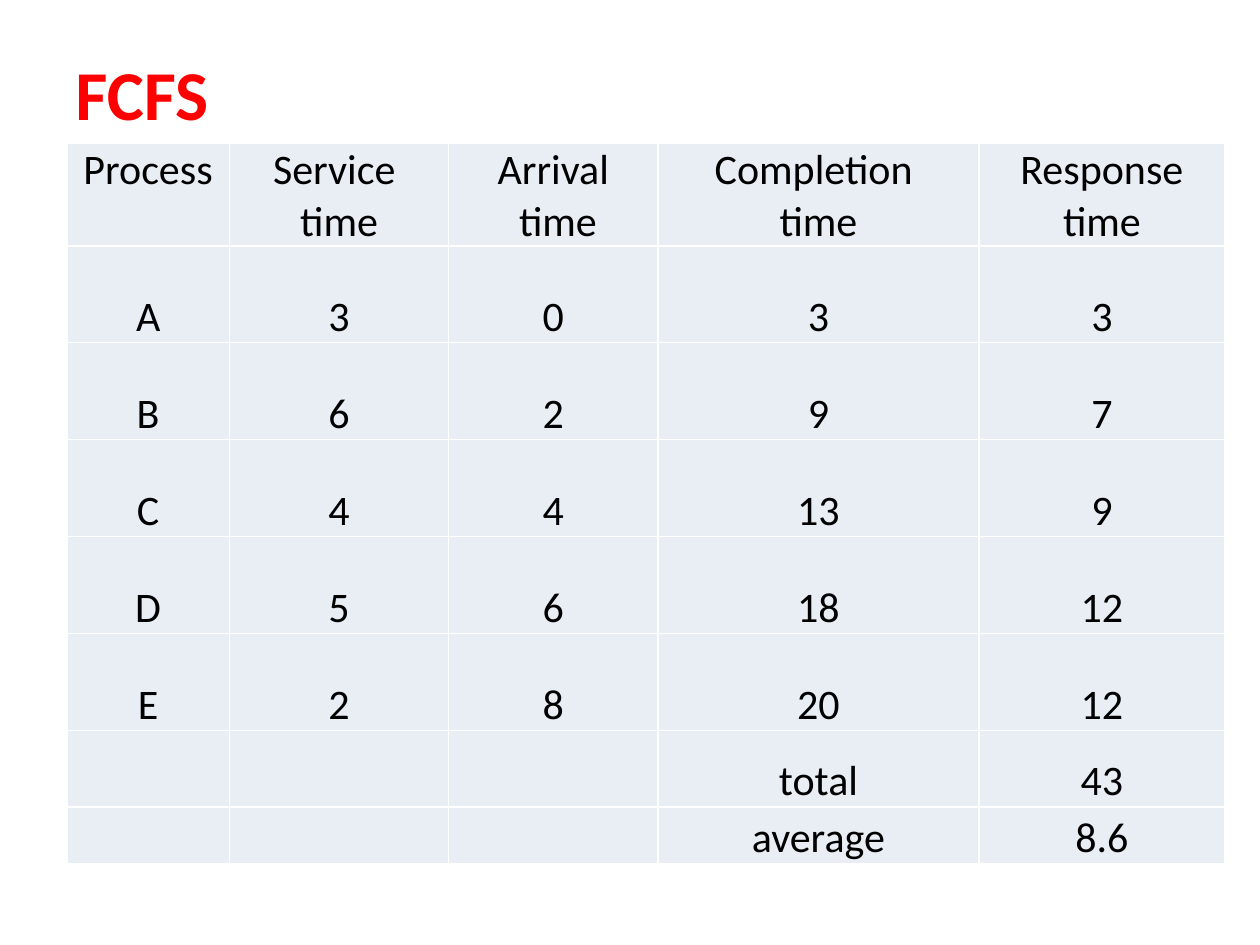
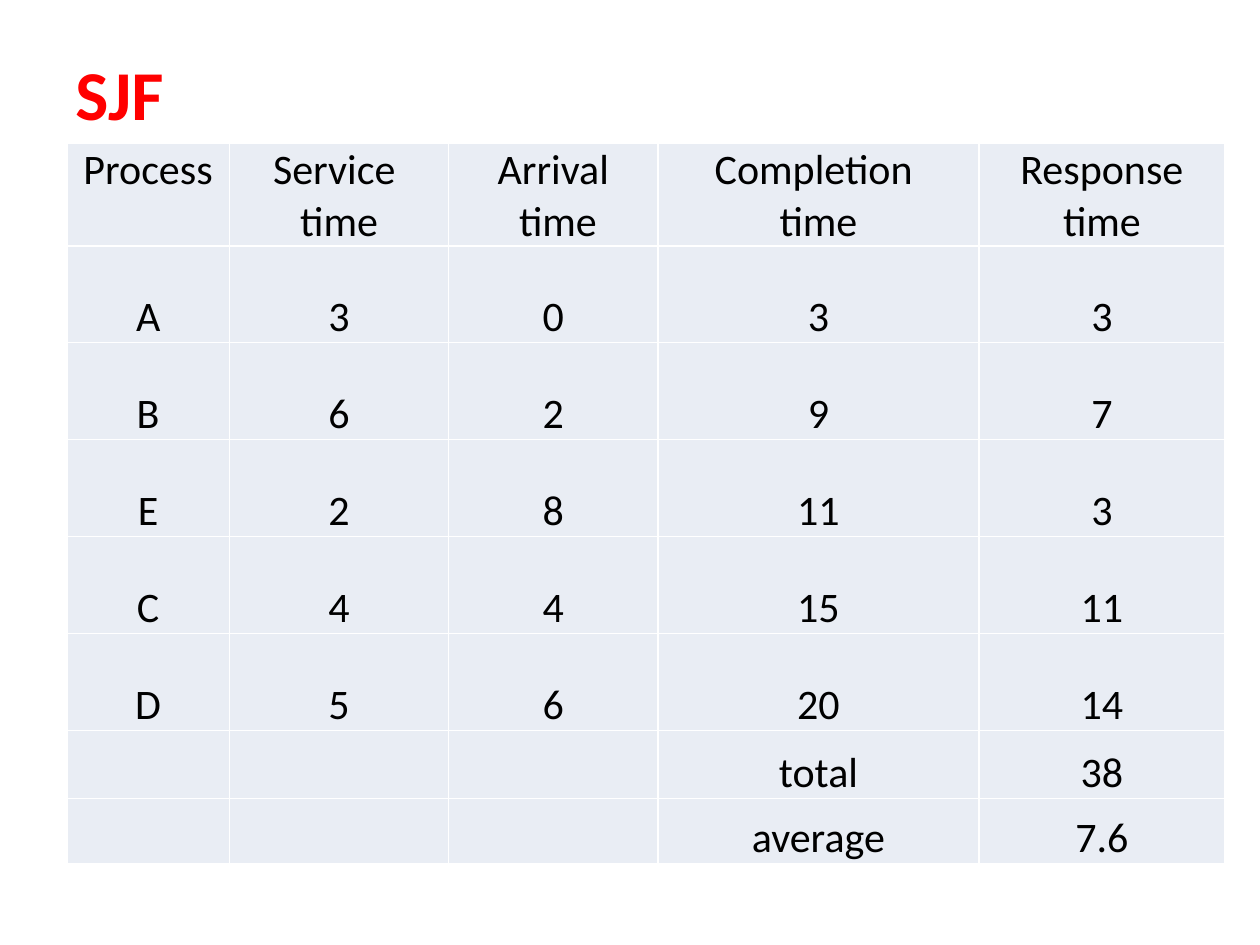
from dataclasses import dataclass
from itertools import accumulate

from lxml import etree
from pptx import Presentation
from pptx.dml.color import RGBColor
from pptx.enum import text
from pptx.oxml import ns
from pptx.util import Pt


@dataclass(frozen=True)
class Theme:
    font: str = "Calibri"
    title_size: float = 40
    cell_size: float = 24
    title: str = "FF0000"
    ink: str = "000000"
    cell_fill: str = "E9EDF4"
    border: str = "FFFFFF"
    border_width: float = 1


@dataclass(frozen=True)
class Process:
    name: str
    service: int
    arrival: int


@dataclass(frozen=True)
class Schedule:
    """A scheduling policy and the processes in the order they run."""
    title: str
    order: str
    total_height: float
    average_height: float


THEME = Theme()
PROCESSES = {p.name: p for p in (
    Process("A", 3, 0), Process("B", 6, 2), Process("C", 4, 4),
    Process("D", 5, 6), Process("E", 2, 8))}
SCHEDULES = (Schedule("FCFS", "ABCDE", 43.9, 32.4),
             Schedule("SJF", "ABECD", 38.9, 37.4))
HEADERS = ("Process", "Service \ntime", "Arrival\n time",
           "Completion \ntime", "Response time")
COLUMN_WIDTHS = (92.9, 125.3, 119.5, 183.6, 140.4)
ROW_HEIGHT = 55.4
TABLE_LEFT, TABLE_TOP = 38.2, 82.1


def add_run(p, words: str, size: float, color: str, bold: bool = False) -> None:
    r = p.add_run()
    r.text = words
    r.font.name = THEME.font
    r.font.size = Pt(size)
    r.font.bold = bold
    r.font.color.rgb = RGBColor.from_string(color)


def add_title(s, words: str) -> None:
    tf = s.shapes.add_textbox(Pt(36), Pt(21.6), Pt(653.8), Pt(56.2)).text_frame
    tf.word_wrap = True
    tf.vertical_anchor = text.MSO_ANCHOR.BOTTOM
    tf.margin_bottom = Pt(1)
    add_run(tf.paragraphs[0], words, THEME.title_size, THEME.title, bold=True)


def add_borders(cell) -> None:
    tc_pr = cell._tc.get_or_add_tcPr()
    for i, side in enumerate(("lnL", "lnR", "lnT", "lnB")):
        ln = etree.Element(ns.qn(f"a:{side}"), w=str(Pt(THEME.border_width)))
        fill = etree.SubElement(ln, ns.qn("a:solidFill"))
        etree.SubElement(fill, ns.qn("a:srgbClr"), val=THEME.border)
        tc_pr.insert(i, ln)


def fill_cell(cell, words: str, anchor: text.MSO_ANCHOR) -> None:
    cell.fill.solid()
    cell.fill.fore_color.rgb = RGBColor.from_string(THEME.cell_fill)
    add_borders(cell)
    if not words:
        return
    cell.vertical_anchor = anchor
    cell.margin_left = cell.margin_right = cell.margin_top = Pt(0.75)
    cell.margin_bottom = 0
    tf = cell.text_frame
    for i, line in enumerate(words.split("\n")):
        p = tf.add_paragraph() if i else tf.paragraphs[0]
        p.alignment = text.PP_ALIGN.CENTER
        add_run(p, line, THEME.cell_size, THEME.ink)


def schedule_rows(schedule: Schedule) -> list[tuple]:
    """Run the processes back to back; response is completion less arrival."""
    queue = [PROCESSES[name] for name in schedule.order]
    completions = list(accumulate(p.service for p in queue))
    responses = [end - p.arrival for p, end in zip(queue, completions)]
    rows = [(p.name, p.service, p.arrival, end, response)
            for p, end, response in zip(queue, completions, responses)]
    total = sum(responses)
    return [HEADERS, *rows, ("", "", "", "total", total),
            ("", "", "", "average", total / len(queue))]


def add_schedule_table(s, schedule: Schedule) -> None:
    rows = schedule_rows(schedule)
    heights = [ROW_HEIGHT] * (len(rows) - 2)
    heights += [schedule.total_height, schedule.average_height]
    table = s.shapes.add_table(
        len(rows), len(HEADERS), Pt(TABLE_LEFT), Pt(TABLE_TOP),
        Pt(sum(COLUMN_WIDTHS)), Pt(sum(heights))).table
    table.first_row = table.horz_banding = False
    for column, width in zip(table.columns, COLUMN_WIDTHS):
        column.width = Pt(width)
    for i, (values, height) in enumerate(zip(rows, heights)):
        table.rows[i].height = Pt(height)
        anchor = text.MSO_ANCHOR.BOTTOM if i else text.MSO_ANCHOR.TOP
        for j, value in enumerate(values):
            fill_cell(table.cell(i, j), str(value), anchor)


def main() -> None:
    prs = Presentation()
    prs.slide_width, prs.slide_height = Pt(720), Pt(540)
    for schedule in SCHEDULES:
        s = prs.slides.add_slide(prs.slide_layouts[6])
        add_title(s, schedule.title)
        add_schedule_table(s, schedule)
    prs.save("out.pptx")


if __name__ == "__main__":
    main()
